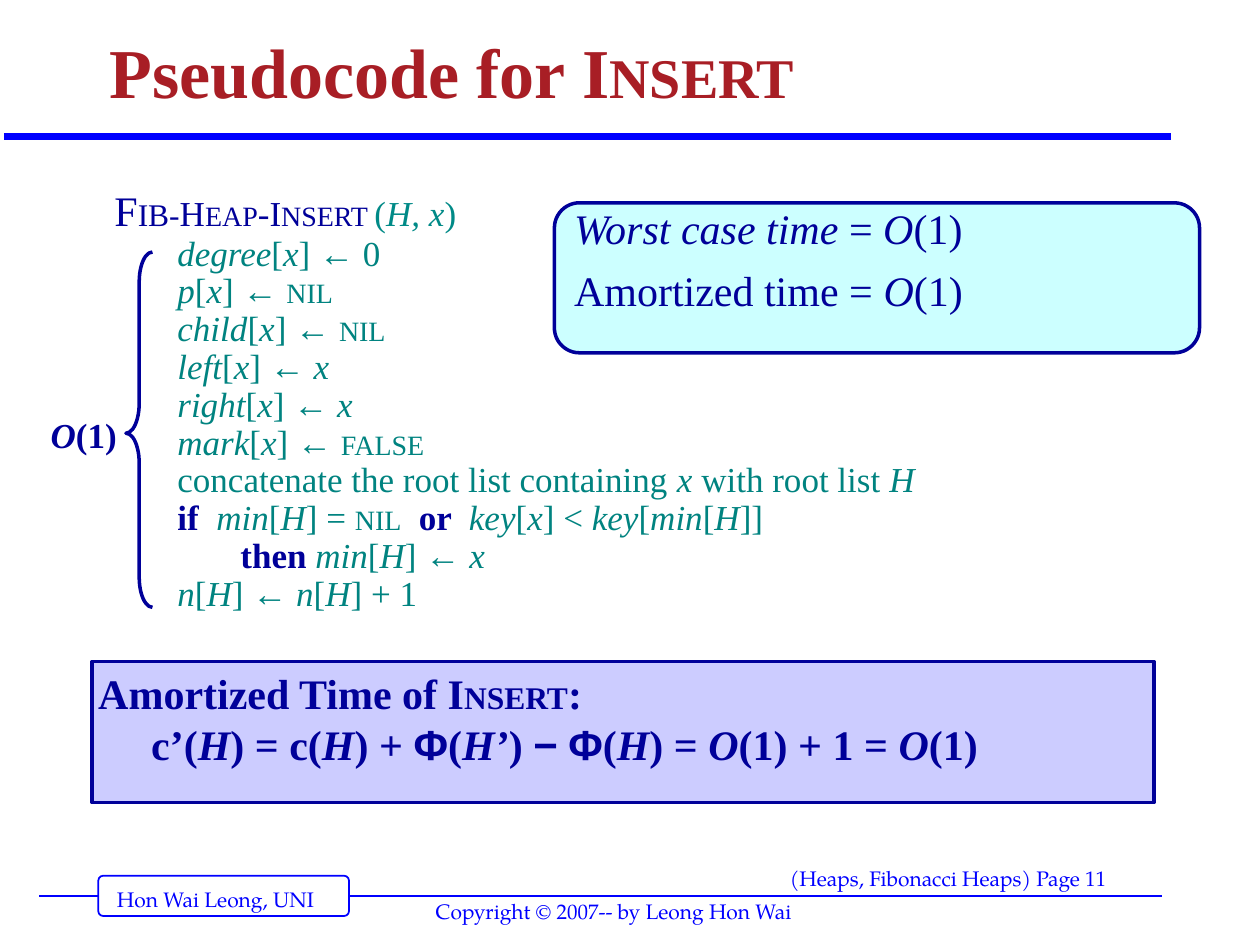
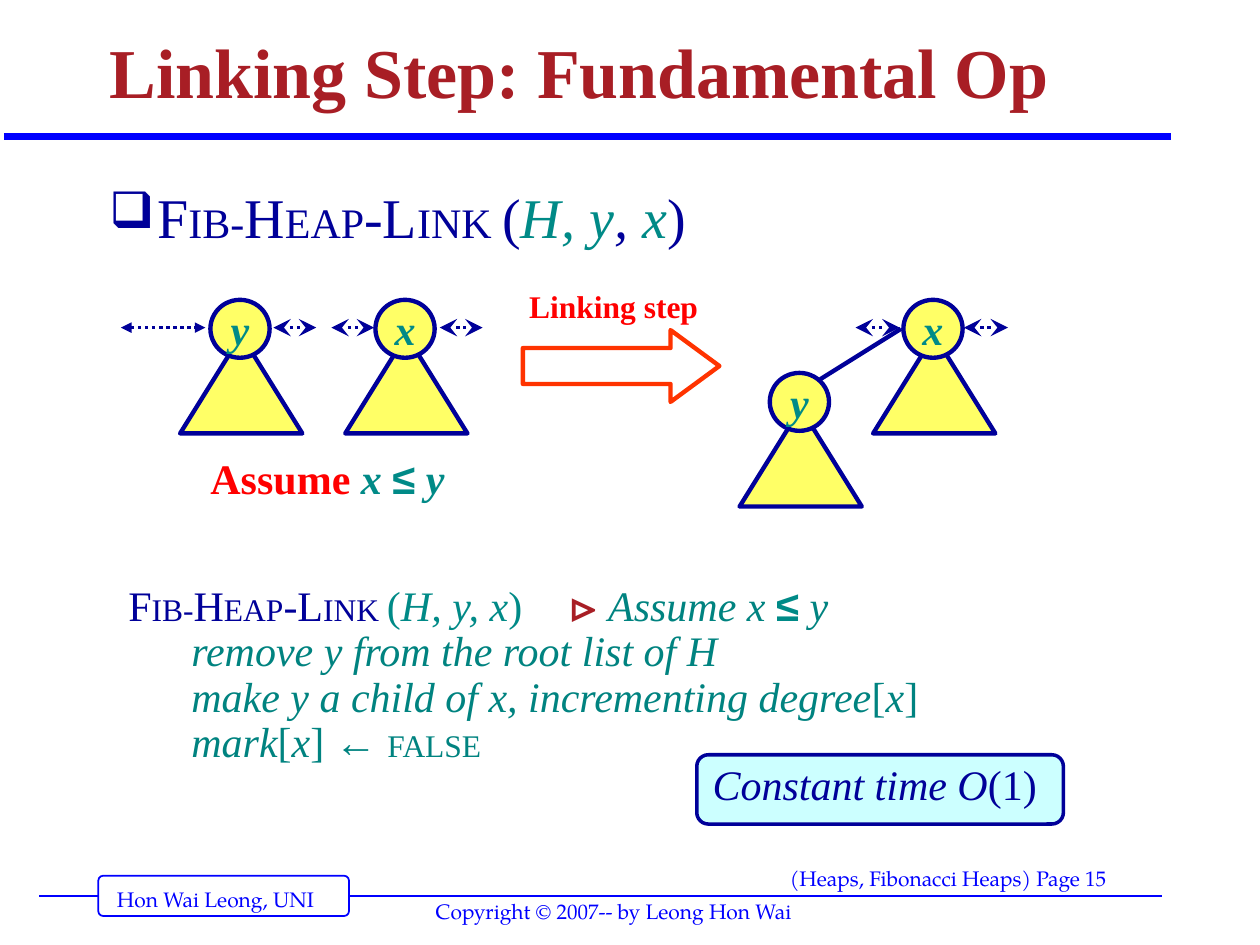
from dataclasses import dataclass
from itertools import groupby
from typing import Iterator, NamedTuple, Optional

from lxml import etree
from pptx import Presentation
from pptx.dml.color import RGBColor
from pptx.enum.dml import MSO_LINE
from pptx.enum.shapes import MSO_CONNECTOR, MSO_SHAPE
from pptx.enum.text import MSO_ANCHOR, MSO_AUTO_SIZE, PP_ALIGN
from pptx.oxml.ns import qn
from pptx.util import Pt

PX = 9144
SLIDE_W, SLIDE_H = 1000, 750

BLUE = RGBColor(0x00, 0x00, 0xFF)
NAVY = RGBColor(0x00, 0x00, 0x99)
TEAL = RGBColor(0x00, 0x8A, 0x87)
CODE = RGBColor(0x00, 0x83, 0x80)
MAROON = RGBColor(0xA8, 0x1E, 0x25)
RED = RGBColor(0xFF, 0x00, 0x00)
ORANGE = RGBColor(0xFF, 0x33, 0x00)
WHITE = RGBColor(0xFF, 0xFF, 0xFF)
CYAN = RGBColor(0xCC, 0xFF, 0xFF)
LAVENDER = RGBColor(0xCC, 0xCC, 0xFF)
YELLOW = RGBColor(0xFF, 0xFF, 0x66)

SERIF = "Times New Roman"
FOOTER_FONT = "TeX Gyre Pagella"
SYMBOL_FONT = "Arial"
SYMBOLS = "←Φ−≤"
ITALIC, SMALL, KEYWORD = "*", "~", "#"

LEFT, CENTER = PP_ALIGN.LEFT, PP_ALIGN.CENTER
TOP, MIDDLE, BOTTOM = MSO_ANCHOR.TOP, MSO_ANCHOR.MIDDLE, MSO_ANCHOR.BOTTOM
NO_AUTOFIT = MSO_AUTO_SIZE.NONE
STRAIGHT = MSO_CONNECTOR.STRAIGHT
DOTTED = MSO_LINE.ROUND_DOT
RECT = MSO_SHAPE.RECTANGLE
ROUNDED = MSO_SHAPE.ROUNDED_RECTANGLE
OVAL = MSO_SHAPE.OVAL
TRIANGLE = MSO_SHAPE.ISOSCELES_TRIANGLE
RIGHT_ARROW = MSO_SHAPE.RIGHT_ARROW
LEFT_BRACE = MSO_SHAPE.LEFT_BRACE


class Box(NamedTuple):
    x: int
    y: int
    w: int
    h: int

    def emu(self) -> list[int]:
        return [v * PX for v in self]


class Span(NamedTuple):
    text: str
    size: Optional[int] = None
    small: Optional[int] = None
    color: Optional[RGBColor] = None
    bold: Optional[bool] = None


@dataclass
class Para:
    spans: list[Span]
    indent: int = 0
    before: Optional[float] = None
    tab: int = 0
    bullet: str = ""


class Tree(NamedTuple):
    x: int
    y: int
    label: str


class Sibling(NamedTuple):
    x1: int
    x2: int
    head: str = "stealth"
    head_size: str = "lg"


def line_of(text: str, indent: int = 0, **kw) -> Para:
    return Para([Span(text)], indent, **kw)


def add_xml(parent, tag: str, **attrs):
    return etree.SubElement(parent, qn(tag), attrs)


def pieces(text: str) -> Iterator[tuple[str, tuple]]:
    on = {ITALIC: False, SMALL: False, KEYWORD: False}
    chars = []
    for ch in text:
        if ch in on:
            on[ch] = not on[ch]
        else:
            chars.append((ch, (*on.values(), ch in SYMBOLS)))
    for style, group in groupby(chars, key=lambda c: c[1]):
        yield "".join(c[0] for c in group), style


def write(tf, paras: list[Para], *, size: int, color: RGBColor, small: int = 0,
          bold: bool = False, font: str = SERIF, align=LEFT, anchor=TOP,
          spacing: float = 1.0, before: float = 0, inset: int = 10,
          wrap: bool = True) -> None:
    tf.auto_size = NO_AUTOFIT
    tf.word_wrap = wrap
    tf.vertical_anchor = anchor
    tf.margin_left = tf.margin_right = inset * PX
    tf.margin_top = tf.margin_bottom = 5 * PX
    for i, para in enumerate(paras):
        p = tf.add_paragraph() if i else tf.paragraphs[0]
        p.alignment = align
        p.line_spacing = spacing
        p.space_before = Pt(before if para.before is None else para.before)
        p.space_after = Pt(0)
        pPr = p._p.get_or_add_pPr()
        hanging = para.indent if para.bullet else 0
        pPr.set("marL", str(para.indent * PX))
        pPr.set("indent", str(-hanging * PX))
        if para.bullet:
            add_xml(add_xml(pPr, "a:buClr"), "a:srgbClr", val=str(color))
            add_xml(pPr, "a:buSzPct", val="90000")
            add_xml(pPr, "a:buChar", char=para.bullet)
        if para.tab:
            tabs = add_xml(pPr, "a:tabLst")
            add_xml(tabs, "a:tab", pos=str(para.tab * PX), algn="l")
        for span in para.spans:
            for text, (italic, is_small, keyword, symbol) in pieces(span.text):
                r = p.add_run()
                r.text = text
                f = r.font
                f.name = SYMBOL_FONT if symbol else font
                f.size = Pt((span.small or small) if is_small else (span.size or size))
                f.bold = keyword or (bold if span.bold is None else span.bold)
                f.italic = italic
                f.color.rgb = NAVY if keyword else span.color or color


def add_text(s, box: Box, paras: list[Para], **fmt) -> None:
    write(s.shapes.add_textbox(*box.emu()).text_frame, paras, **fmt)


def add_shape(s, kind, box: Box, fill: Optional[RGBColor], line: RGBColor,
              width: float, adjust: tuple = ()):
    sp = s.shapes.add_shape(kind, *box.emu())
    sp.shadow.inherit = False
    if fill is None:
        sp.fill.background()
    else:
        sp.fill.solid()
        sp.fill.fore_color.rgb = fill
    sp.line.color.rgb = line
    sp.line.width = Pt(width)
    for i, value in enumerate(adjust):
        sp.adjustments[i] = value
    return sp


def add_line(s, x1: int, y1: int, x2: int, y2: int, color: RGBColor, width: float):
    cx = s.shapes.add_connector(STRAIGHT, x1 * PX, y1 * PX, x2 * PX, y2 * PX)
    cx.line.color.rgb = color
    cx.line.width = Pt(width)
    add_xml(cx._element.spPr, "a:effectLst")
    return cx


def add_sibling(s, link: Sibling) -> None:
    cx = add_line(s, link.x1, 260, link.x2, 260, NAVY, 2)
    cx.line.dash_style = DOTTED
    ln = cx.line._get_or_add_ln()
    for end in ("a:headEnd", "a:tailEnd"):
        add_xml(ln, end, type=link.head, w=link.head_size, len=link.head_size)


def add_tree(s, tree: Tree) -> None:
    add_shape(s, TRIANGLE, Box(tree.x - 24, tree.y + 28, 97, 78), YELLOW, NAVY, 2.5)
    sp = add_shape(s, OVAL, Box(tree.x, tree.y, 47, 46), YELLOW, NAVY, 2.5)
    write(sp.text_frame, [line_of(f"*{tree.label}*")], size=24, color=TEAL, bold=True,
          align=CENTER, anchor=MIDDLE, wrap=False)


def new_slide(prs, title: str, page: int):
    s = prs.slides.add_slide(prs.slide_layouts[5])
    add_line(s, 31, 711, 922, 711, BLUE, 1)
    add_shape(s, ROUNDED, Box(78, 695, 199, 32), WHITE, BLUE, 1, (0.125,))
    add_line(s, 3, 108, 929, 108, BLUE, 4)
    footers = [
        (Box(83, 699, 182, 30), "Hon Wai Leong, UNI"),
        (Box(617, 682, 344, 32), f"(Heaps, Fibonacci Heaps) Page {page}"),
        (Box(336, 708, 315, 30), "Copyright © 2007-- by Leong Hon Wai"),
    ]
    for box, text in footers:
        add_text(s, box, [line_of(text)], size=12, color=BLUE, font=FOOTER_FONT)
    sp = s.shapes.title
    sp.left, sp.top, sp.width, sp.height = Box(77, 8, 850, 87).emu()
    write(sp.text_frame, [line_of(title)], size=40, small=32, color=MAROON, bold=True,
          anchor=BOTTOM, spacing=0.9)
    return s


def build_insert(prs) -> None:
    s = new_slide(prs, "Pseudocode for I~NSERT~", 11)
    heading = Para([Span("F~IB-~", 24, 18, NAVY), Span("H~EAP~-I~NSERT ~", color=NAVY),
                    Span("(*H, x*)", color=TEAL)])
    body = [
        "*degree*[*x*] ← 0",
        "*p*[*x*] ← ~NIL~",
        "*child*[*x*] ← ~NIL~",
        "*left*[*x*] ← *x*",
        "*right*[*x*] ← *x*",
        "*mark*[*x*] ← ~FALSE~",
        "concatenate the root list containing *x* with root list *H*",
        "#if  #*min*[*H*] = ~NIL~  #or  #*key*[*x*] < *key*[*min*[*H*]]",
    ]
    code = [heading, *(line_of(text, 50) for text in body),
            line_of("#then #*min*[*H*] ← *x*", 100),
            line_of("*n*[*H*] ← *n*[*H*] + 1", 50)]
    add_text(s, Box(81, 148, 816, 344), code, size=20, small=16, color=CODE,
             spacing=0.85, before=1.2)

    sp = add_shape(s, ROUNDED, Box(440, 161, 512, 119), CYAN, NAVY, 2, (0.167,))
    write(sp.text_frame,
          [line_of("*Worst case time* = *O*(1)"), line_of("Amortized time = *O*(1)")],
          size=24, color=NAVY, spacing=0.7, before=15)

    sp = add_shape(s, RECT, Box(73, 525, 843, 112), LAVENDER, NAVY, 2)
    write(sp.text_frame,
          [line_of("Amortized Time of I~NSERT~:", before=15),
           line_of("c’(*H*) = c(*H*) + Φ(*H’*) − Φ(*H*) = *O*(1) + 1 = *O*(1)", 42)],
          size=24, small=18, color=NAVY, bold=True, inset=5)

    add_shape(s, LEFT_BRACE, Box(100, 200, 21, 282), None, NAVY, 2, (1.13, 0.51))
    add_text(s, Box(30, 323, 73, 44), [line_of("*O*(1)")], size=20, color=NAVY,
             bold=True, align=CENTER, before=12.5, inset=5)


def build_link(prs) -> None:
    s = new_slide(prs, "Linking Step: Fundamental Op", 15)
    name = "F~IB-~H~EAP~-L~INK ~"
    topic = Para([Span(name + "("), Span("*H, y*", color=TEAL), Span("*, *"),
                  Span("*x*", color=TEAL), Span(")")], indent=38, bullet="❑")
    add_text(s, Box(77, 140, 853, 90), [topic], size=32, small=24, color=NAVY, before=20)

    add_shape(s, RIGHT_ARROW, Box(415, 262, 156, 57), None, ORANGE, 2.5, (0.5, 0.68))
    add_text(s, Box(415, 223, 165, 40), [line_of("Linking step")], size=18, color=RED,
             bold=True, before=11.2, inset=5)

    heading = Para([Span(name, color=NAVY), Span("(*H, y, x*)\t", color=TEAL),
                    Span("⊳ ", color=MAROON, bold=True), Span("*Assume x *"),
                    Span("≤", color=TEAL, bold=True), Span("* y*")], tab=378)
    body = ["*remove y from the root list of H*",
            "*make y a child of x, incrementing degree*[*x*]",
            "*mark*[*x*] ← ~FALSE~"]
    add_text(s, Box(92, 461, 695, 152), [heading, *(line_of(text, 50) for text in body)],
             size=24, small=18, color=CODE, spacing=0.85, before=1.5)

    sp = add_shape(s, ROUNDED, Box(553, 599, 291, 55), CYAN, NAVY, 2, (0.167,))
    write(sp.text_frame, [line_of("*Constant time O*(1)")], size=24, color=NAVY,
          spacing=0.9, before=15)

    assumption = Para([Span("Assume ", color=RED), Span("*x *≤* y*")])
    add_text(s, Box(162, 354, 210, 50), [assumption], size=24, color=TEAL, bold=True,
             before=15, inset=5)

    add_line(s, 651, 301, 715, 261, NAVY, 2.5)
    for tree in (Tree(167, 238, "y"), Tree(298, 238, "x"),
                 Tree(611, 296, "y"), Tree(717, 238, "x")):
        add_tree(s, tree)
    for link in (Sibling(96, 163, "triangle", "med"), Sibling(217, 251),
                 Sibling(263, 297), Sibling(349, 383),
                 Sibling(679, 714), Sibling(765, 800)):
        add_sibling(s, link)


def main() -> None:
    prs = Presentation()
    prs.slide_width, prs.slide_height = SLIDE_W * PX, SLIDE_H * PX
    build_insert(prs)
    build_link(prs)
    prs.save("out.pptx")


if __name__ == "__main__":
    main()
